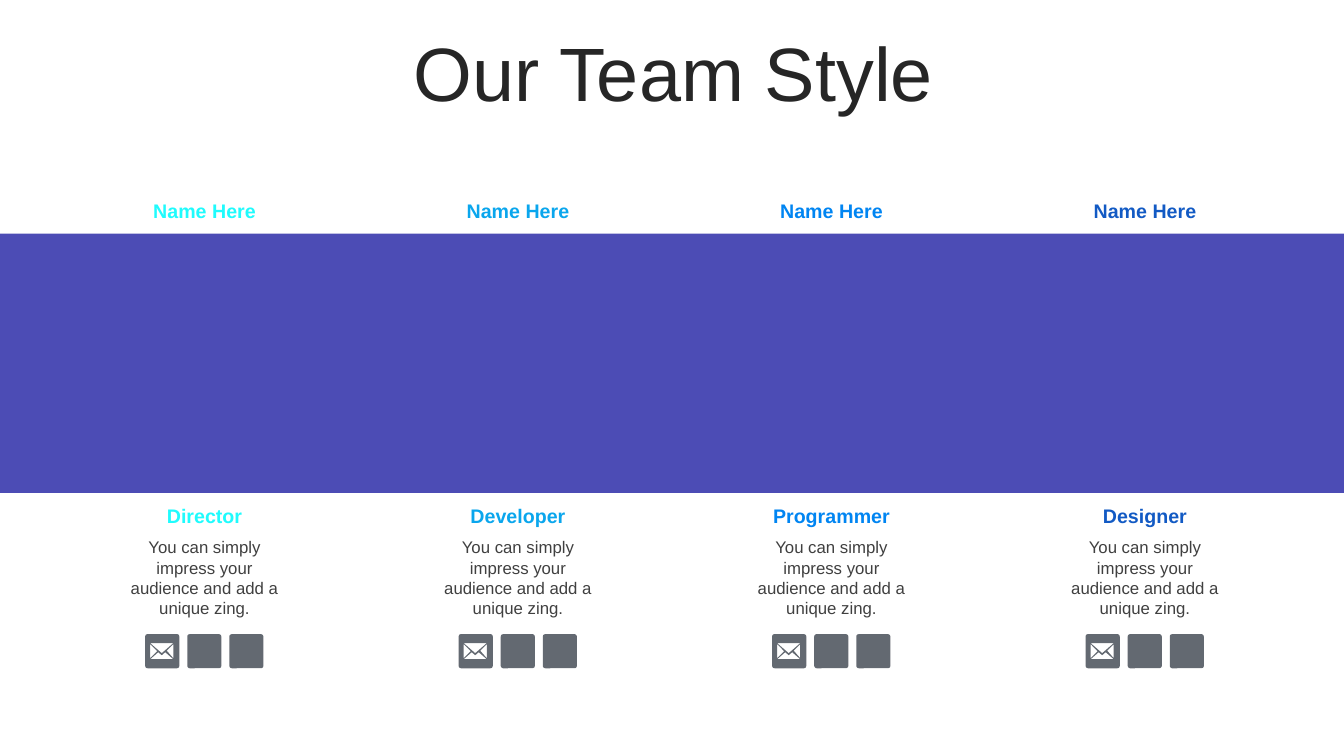
import math
from dataclasses import dataclass

from lxml import etree
from pptx import Presentation
from pptx import util as u
from pptx.dml.color import RGBColor
from pptx.enum import shapes, text
from pptx.oxml import ns

FONT = "Arial"
INK = RGBColor(0x26, 0x26, 0x26)
BODY = RGBColor(0x40, 0x40, 0x40)
INDIGO = RGBColor(0x00, 0x00, 0x96)
SLATE = RGBColor(0x22, 0x2A, 0x35)
AQUA = RGBColor(0x1F, 0xFB, 0xFD)
SKY = RGBColor(0x0A, 0xA6, 0xED)
AZURE = RGBColor(0x00, 0x85, 0xF2)
COBALT = RGBColor(0x12, 0x5A, 0xC4)

# Lengths in centimetres
PAGE_WIDTH, PAGE_HEIGHT = 33.87, 19.05
COLUMN_LEFT, COLUMN_PITCH, COLUMN_WIDTH = 2.82, 7.9, 4.67
ICON_INSET, ICON_PITCH, ICON_SIZE, ICON_TOP = 0.84, 1.06, 0.86, 15.98

# Envelope icon, drawn on a square grid
GRID, CORNER = 340, 25
ENVELOPE_PARTS = (
    ((200, 180), (165, 210), (130, 180), (50, 250), (280, 250)),
    ((280, 100), (215, 165), (280, 240)),
    ((50, 100), (50, 240), (120, 170)),
    ((50, 90), (165, 190), (280, 90)),
)


@dataclass(frozen=True)
class Member:
    name: str
    role: str
    summary: str
    color: RGBColor


@dataclass(frozen=True)
class TextStyle:
    size: float
    color: RGBColor
    bold: bool = False
    anchor: text.MSO_ANCHOR = text.MSO_ANCHOR.TOP


SUMMARY = "You can simply impress your audience and add a unique zing."
TEAM = (
    Member("Name Here", "Director", SUMMARY, AQUA),
    Member("Name Here", "Developer", SUMMARY, SKY),
    Member("Name Here", "Programmer", SUMMARY, AZURE),
    Member("Name Here", "Designer", SUMMARY, COBALT),
)


def write(box, words: str, style: TextStyle) -> None:
    """Put one centred run of text into a shape."""
    frame = box.text_frame
    frame.word_wrap = True
    frame.auto_size = text.MSO_AUTO_SIZE.NONE
    frame.vertical_anchor = style.anchor
    para = frame.paragraphs[0]
    para.alignment = text.PP_ALIGN.CENTER
    span = para.add_run()
    span.text = words
    span.font.name = FONT
    span.font.size = u.Pt(style.size)
    span.font.bold = style.bold
    span.font.color.rgb = style.color


def add_label(page, left: float, top: float, height: float,
              words: str, style: TextStyle) -> None:
    box = page.shapes.add_textbox(
        u.Cm(left), u.Cm(top), u.Cm(COLUMN_WIDTH), u.Cm(height))
    write(box, words, style)


def paint(shape, color: RGBColor) -> None:
    """Fill a shape at 70 % opacity, without line or shadow."""
    shape.shadow.inherit = False
    shape.line.fill.background()
    shape.fill.solid()
    shape.fill.fore_color.rgb = color
    tone = shape.element.spPr.find(
        f"{ns.qn('a:solidFill')}/{ns.qn('a:srgbClr')}")
    etree.SubElement(tone, ns.qn("a:alpha"), val="70000")


def rounded_outline() -> list[tuple[float, float]]:
    """Points of the rounded square, clockwise from the top left."""
    near, far = CORNER, GRID - CORNER
    centers = ((near, near), (far, near), (far, far), (near, far))
    points = []
    for quarter, (x, y) in enumerate(centers):
        for step in range(7):
            angle = math.radians(180 + 90 * quarter + 15 * step)
            points.append((x + CORNER * math.cos(angle),
                           y + CORNER * math.sin(angle)))
    return points


def add_envelope(page, left: float, top: float) -> None:
    outline = rounded_outline()
    builder = page.shapes.build_freeform(
        *outline[0], scale=u.Cm(ICON_SIZE) / GRID)
    builder.add_line_segments(outline[1:], close=True)
    for part in ENVELOPE_PARTS:
        builder.move_to(*part[0])
        builder.add_line_segments(part[1:], close=True)
    paint(builder.convert_to_shape(u.Cm(left), u.Cm(top)), SLATE)


def add_tile(page, left: float, top: float) -> None:
    tile = page.shapes.add_shape(
        shapes.MSO_SHAPE.ROUNDED_RECTANGLE,
        u.Cm(left), u.Cm(top), u.Cm(ICON_SIZE), u.Cm(ICON_SIZE))
    tile.adjustments[0] = CORNER / GRID
    paint(tile, SLATE)


def add_member(page, left: float, member: Member) -> None:
    middle = text.MSO_ANCHOR.MIDDLE
    add_label(page, left, 4.88, 0.89, member.name,
              TextStyle(14, member.color, bold=True))
    add_label(page, left, 12.55, 0.89, member.role,
              TextStyle(14, member.color, bold=True, anchor=middle))
    add_label(page, left, 13.41, 2.31, member.summary, TextStyle(12, BODY))
    for slot, draw in enumerate((add_envelope, add_tile, add_tile)):
        draw(page, left + ICON_INSET + slot * ICON_PITCH, ICON_TOP)


def main() -> None:
    deck = Presentation()
    deck.slide_width, deck.slide_height = u.Cm(PAGE_WIDTH), u.Cm(PAGE_HEIGHT)
    page = deck.slides.add_slide(deck.slide_layouts[5])

    # Title
    title = page.shapes.title
    title.left, title.top = u.Cm(0.89), u.Cm(0.94)
    title.width, title.height = u.Cm(32.16), u.Cm(2.01)
    write(title, "Our Team Style",
          TextStyle(54, INK, anchor=text.MSO_ANCHOR.MIDDLE))
    title.text_frame.paragraphs[0].line_spacing = 0.9

    # Band across the page
    band = page.shapes.add_shape(
        shapes.MSO_SHAPE.RECTANGLE,
        0, u.Cm(5.89), deck.slide_width, u.Cm(6.53))
    paint(band, INDIGO)

    # Team columns
    for column, member in enumerate(TEAM):
        add_member(page, COLUMN_LEFT + column * COLUMN_PITCH, member)

    deck.save("out.pptx")


if __name__ == "__main__":
    main()
